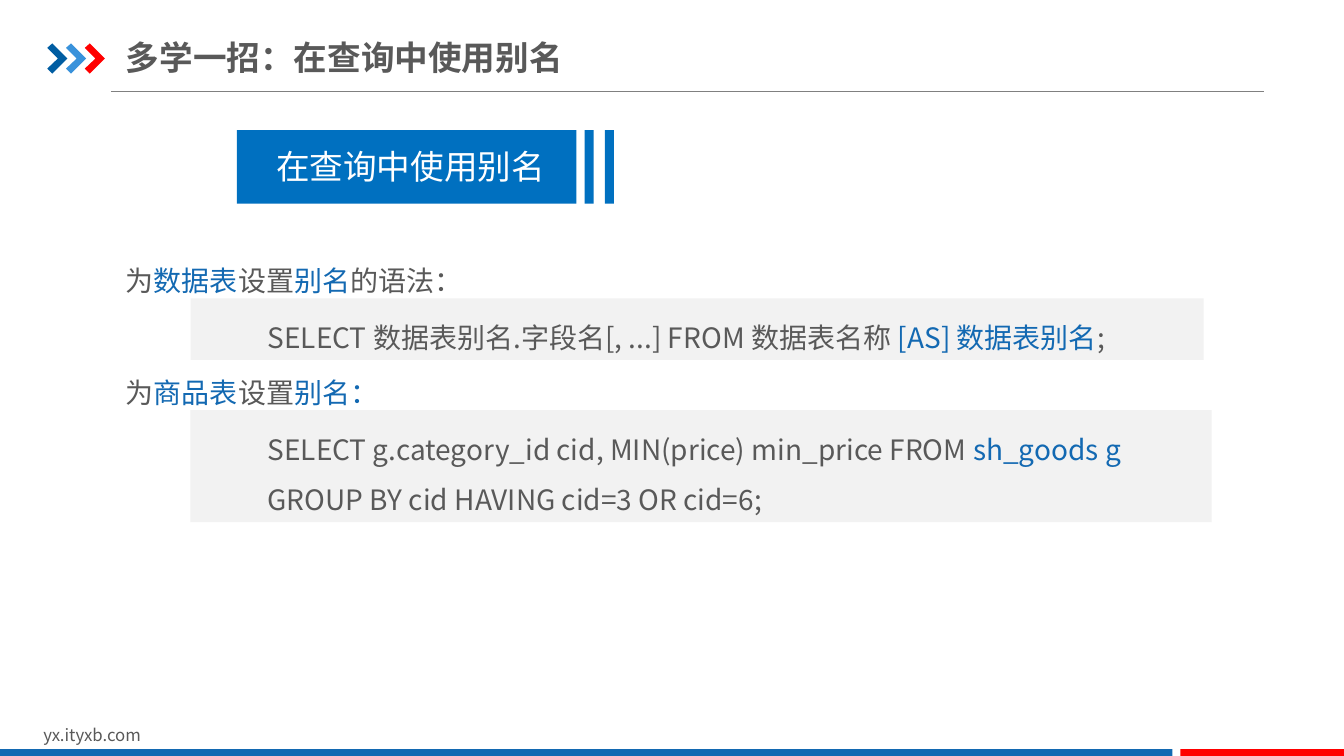
from pptx import Presentation
from pptx.dml.color import RGBColor
from pptx.enum.shapes import MSO_CONNECTOR, MSO_SHAPE
from pptx.enum.text import MSO_ANCHOR, PP_ALIGN
from pptx.oxml.ns import qn
from pptx.util import Pt
from lxml import etree

RECT, LINE = MSO_SHAPE.RECTANGLE, MSO_CONNECTOR.STRAIGHT
TOP, MIDDLE, LEFT = MSO_ANCHOR.TOP, MSO_ANCHOR.MIDDLE, PP_ALIGN.LEFT
NOTO = "Noto Sans CJK SC"
GREY, BLUE, RED, PALE, SKY = "595959", "1369B2", "FF0000", "F2F2F2", "0070C0"

# Text is a list of paragraphs, each a list of (words, colour)
TITLE = [[("多学一招：在查询中使用别名", GREY)]]
BANNER = [[("在查询中使用别名", "FFFFFF")]]
SITE = [[("yx.ityxb.com", GREY)]]
LEADS = [
    (172.8, [[("为", GREY), ("数据表", BLUE), ("设置", GREY),
              ("别名", BLUE), ("的语法：", GREY)]]),
    (252.7, [[("为", GREY), ("商品表", BLUE), ("设置", GREY), ("别名：", BLUE)]]),
]
CODES = [  # top, width, height, text
    (213.1, 723.6, 43.9, [
        [("SELECT 数据表别名.字段名[, ...] FROM 数据表名称 ", GREY),
         ("[AS] 数据表别名", BLUE), (";", GREY)]]),
    (293, 729.4, 79.9, [
        [("SELECT g.category_id cid, MIN(price) min_price FROM ", GREY),
         ("sh_goods g", BLUE)],
        [("GROUP BY cid HAVING cid=3 OR cid=6;", GREY)]]),
]
BARS = [  # left, top, width, height, colour
    (0, 535, 837.4, 6.5, BLUE), (843.1, 535, 117.4, 6.5, RED),
    (169.2, 92.9, 242.6, 52.6, SKY),
    (417.6, 92.9, 6.5, 52.6, SKY), (432, 92.9, 6.5, 52.6, SKY),
]
ARROWS = ["005DA2", "3992DB", RED]
ARROW = [(0, 3.2), (3.6, 0), (14.4, 10.8), (3.6, 21.6), (0, 18), (7.6, 10.8)]


def rgb(code):
    return RGBColor.from_string(code)


def paint(shape, code):
    shape.shadow.inherit = False
    shape.fill.solid()
    shape.fill.fore_color.rgb = rgb(code)
    shape.line.fill.background()
    return shape


def bar(left, top, width, height, code):
    return paint(shapes.add_shape(RECT, Pt(left), Pt(top), Pt(width), Pt(height)), code)


def write(shape, paras, size, font=NOTO, bold=False, anchor=TOP, space=None, indent=0):
    frame = shape.text_frame
    frame.word_wrap = True
    frame.vertical_anchor = anchor
    for i, parts in enumerate(paras):
        para = frame.add_paragraph() if i else frame.paragraphs[0]
        para.alignment = LEFT
        para.line_spacing = space
        if indent:
            para._p.get_or_add_pPr().set("marL", str(Pt(indent)))
        for words, code in parts:
            run = para.add_run()
            run.text = words
            run.font.size, run.font.name, run.font.bold = Pt(size), font, bold
            run.font.color.rgb = rgb(code)
            etree.SubElement(run._r.rPr, qn("a:ea")).set("typeface", NOTO)
    return frame


def label(left, top, width, height, *args, **style):
    box = shapes.add_textbox(Pt(left), Pt(top), Pt(width), Pt(height))
    return write(box, *args, **style)


deck = Presentation()
deck.slide_width, deck.slide_height = Pt(960), Pt(540)
shapes = deck.slides.add_slide(deck.slide_layouts[6]).shapes

rule = shapes.add_connector(LINE, Pt(79.2), Pt(65.5), Pt(902.9), Pt(65.5))
rule.line.color.rgb, rule.line.width = rgb("808080"), Pt(0.75)
etree.SubElement(rule._element.spPr, qn("a:effectLst"))

for i, code in enumerate(ARROWS):
    spots = [(Pt(33.8 + 13.4 * i + x), Pt(31 + y)) for x, y in ARROW]
    form = shapes.build_freeform(*spots[0])
    form.add_line_segments(spots[1:], close=True)
    paint(form.convert_to_shape(), code)

for place in BARS:
    bar(*place)

label(23.8, 514.1, 229, 21.6, SITE, 12)
head = label(90, 20.9, 509, 39.6, TITLE, 24, bold=True, anchor=MIDDLE)
head.margin_left = head.margin_right = 0
label(190.1, 100.8, 210.2, 36, BANNER, 24, font="Arial")

for top, text in LEADS:
    label(82.8, top, 820.8, 43.9, text, 20, space=1.5)
for top, width, height, text in CODES:
    write(bar(136.1, top, width, height, PALE), text, 20,
          anchor=MIDDLE, space=1.5, indent=48)

deck.save("out.pptx")
